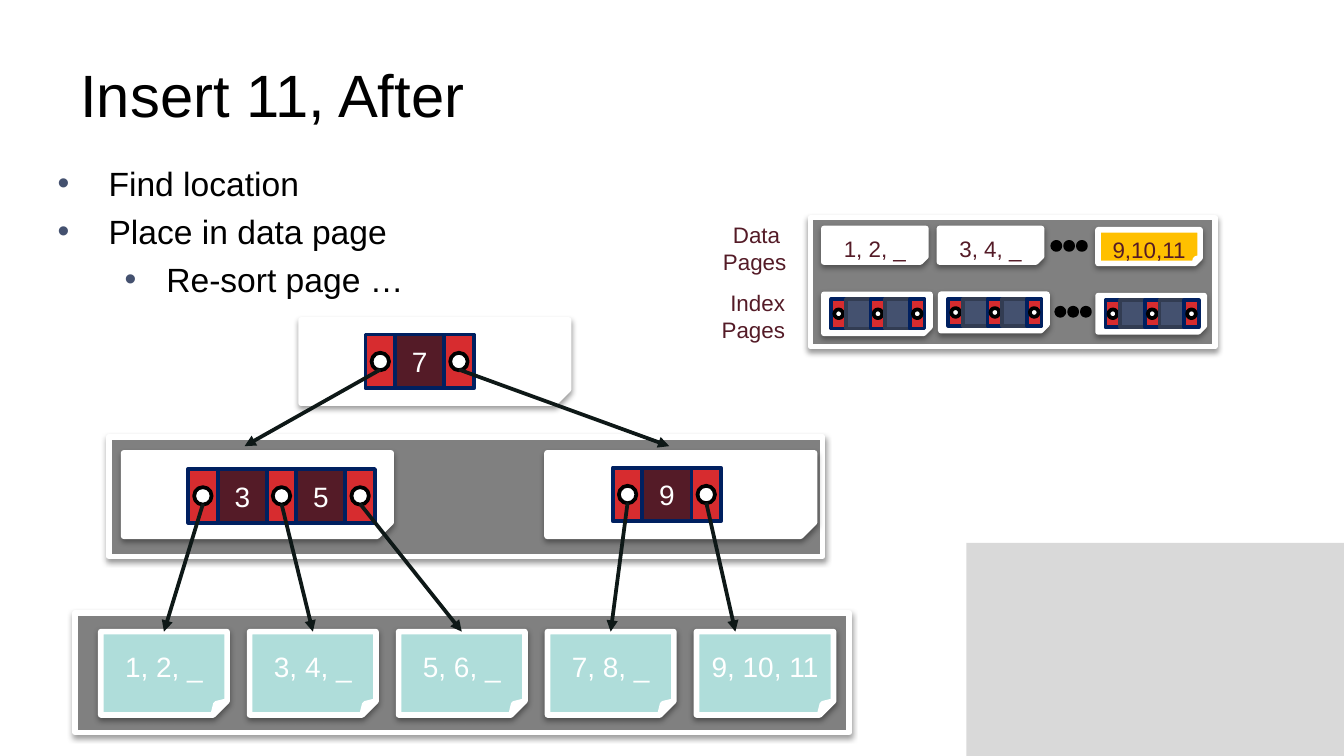
from pptx import Presentation
from pptx.dml.color import RGBColor as Rgb
from pptx.enum.shapes import MSO_CONNECTOR as Conn, MSO_SHAPE as Kind
from pptx.enum.text import MSO_ANCHOR as Anchor, PP_ALIGN as Align
from pptx.oxml import parse_xml
from pptx.oxml.ns import nsdecls
from pptx.util import Inches, Pt

# Grid: 100 columns by 56.25 rows, each a tenth of an inch
COLS, ROWS = 100, 56.25
HUES = {
    "white": "FFFFFF", "black": "000000", "pale": "D9D9D9", "gray": "808080",
    "red": "D72C2F", "navy": "002060", "wine": "541B27", "slate": "44516F",
    "dusk": "323C52", "teal": "AFDDDA", "gold": "FFC000", "ink": "0E1817",
}


def grid(*units):
    return [Inches(unit / 10) for unit in units]


def hue(name):
    return Rgb.from_string(HUES[name])


def add_xml(parent, tag, attrs="", inner=""):
    parent.append(parse_xml(f'<a:{tag} {nsdecls("a")} {attrs}>{inner}</a:{tag}>'))


def write(frame, lines, size=15, color="white", align=Align.CENTER,
          anchor=Anchor.MIDDLE, wrap=True, inset=None, levels=None, gap=0):
    """Fill a text frame; levels gives each bullet its depth."""
    frame.word_wrap = wrap
    frame.vertical_anchor = anchor
    if inset is not None:
        frame.margin_left = frame.margin_right = Inches(inset)
        frame.margin_top = frame.margin_bottom = Inches(0.04)
    for i, line in enumerate(lines):
        para = frame.paragraphs[0] if i == 0 else frame.add_paragraph()
        para.alignment = align
        if i and gap:
            para.space_before = Pt(gap)
        if levels:
            bullet(para, levels[i])
        run = para.add_run()
        run.text = line
        run.font.name = "Arial"
        run.font.size = Pt(size)
        run.font.color.rgb = hue(color)


def bullet(para, level):
    left, hang = [(0.38, 0.38), (0.81, 0.31)][level]
    para.level = level
    props = para._p.get_or_add_pPr()
    props.set("marL", str(Inches(left)))
    props.set("indent", str(-Inches(hang)))
    add_xml(props, "buClr", inner=f'<a:srgbClr val="{HUES["slate"]}"/>')
    add_xml(props, "buFont", 'typeface="Arial"')
    add_xml(props, "buChar", 'char="•"')


def label(slide, box, lines, **style):
    write(slide.shapes.add_textbox(*grid(*box)).text_frame, lines, **style)


def block(slide, kind, box, fill, edge=None, width=2, text=None, **style):
    shape = slide.shapes.add_shape(kind, *grid(*box))
    shape.shadow.inherit = False
    shape.fill.solid()
    shape.fill.fore_color.rgb = hue(fill)
    if edge:
        shape.line.color.rgb = hue(edge)
        shape.line.width = Pt(width)
    else:
        shape.line.fill.background()
    if text:
        write(shape.text_frame, [text], **style)
    return shape


def page(slide, box, fill="white", kind=Kind.FOLDED_CORNER, **style):
    """A white-edged sheet or tray with a soft shadow below."""
    shape = block(slide, kind, box, fill, "white", 3, **style)
    glow = shape._element.spPr.find(
        "{http://schemas.openxmlformats.org/drawingml/2006/main}effectLst")
    add_xml(glow, "outerShdw",
            f'blurRad="{Pt(3.1)}" dist="{Pt(1.6)}" dir="5400000" rotWithShape="0"',
            '<a:srgbClr val="000000"><a:alpha val="38000"/></a:srgbClr>')


def tray(slide, box):
    page(slide, box, "gray", Kind.RECTANGLE)


def node(slide, x, y, keys, scale=1, high=4, fill="wine", edge="navy"):
    """Draw pointer cells around key cells; return where arrows start."""
    slot, key, dot = 2.2 * scale, 3.65 * scale, 1.3 * scale
    ports = []
    for i in range(len(keys) + 1):
        left = x + i * (slot + key)
        mid = left + slot / 2
        block(slide, Kind.RECTANGLE, (left, y, slot, high), "red", "navy")
        block(slide, Kind.OVAL, (mid - dot / 2, y + (high - dot) / 2, dot, dot),
              "white", "black")
        ports.append((mid, y + high / 2 + 0.6))
        if i < len(keys):
            block(slide, Kind.RECTANGLE, (left + slot, y, key, high), fill, edge,
                  text=keys[i], inset=0.07)
    return ports


def dots(slide, x, y):
    for i in range(3):
        block(slide, Kind.OVAL, (x + i * 0.95, y, 0.6, 0.6), "black", "black")


def arrow(slide, start, end):
    line = slide.shapes.add_connector(Conn.STRAIGHT, *grid(*start, *end))
    line.line.color.rgb = hue("ink")
    line.line.width = Pt(2)
    add_xml(line.line._get_or_add_ln(), "tailEnd", 'type="triangle"')
    add_xml(line._element.spPr, "effectLst")


def store(slide):
    """The panel of data pages and index pages."""
    tray(slide, (60.3, 16.2, 30.1, 9.6))
    for x, y, text, fill in [(61.3, 17, "1, 2, _", "white"),
                             (69.9, 17, "3, 4, _", "white"),
                             (81.7, 17.1, "9,10,11", "gold")]:
        page(slide, (x, y, 7.6, 2.5), fill, text=text, size=12, color="wine",
             anchor=Anchor.TOP)
    for x, y, high in [(61.3, 21.9, 2.9), (70, 21.9, 2.7), (81.7, 22, 2.7)]:
        page(slide, (x, y, 7.9, high))
        node(slide, x + 0.55, y + 0.35, ["", ""], 0.5, high - 0.7, "slate", "dusk")
    dots(slide, 78.3, 18)
    dots(slide, 78.6, 22.9)
    for box, name in [((50.5, 16, 9, 5), "Data "), ((52.7, 21, 6.7, 5), "Index")]:
        label(slide, box, [name, "Pages"], size=12, color="wine",
              align=Align.RIGHT, anchor=Anchor.TOP)


def tree(slide):
    """The search tree: root, index level and leaves."""
    tray(slide, (8.1, 32.5, 53.1, 8.9))
    tray(slide, (5.6, 45.6, 57.6, 8.9))

    # Leaves
    leaves = ["1, 2, _", "3, 4, _", "5, 6, _", "7, 8, _", "9, 10, 11"]
    tips = []
    for i, text in enumerate(leaves):
        x = 7.5 + i * 11.08
        page(slide, (x, 47, 10.2 if i == 4 else 9.4, 6.2), "teal", text=text)
        tips.append((x + 4.7 - (i == 4) * 1.8, 47))

    # Index level
    for x in (40.7, 9.2):
        page(slide, (x, 33.7, 19.9, 6.2))
    ports = node(slide, 14, 34.9, ["3", "5"]) + node(slide, 45.6, 34.8, ["9"])
    for port, tip in zip(ports, tips):
        arrow(slide, port, tip)

    # Root
    page(slide, (22.4, 23.8, 19.9, 6.2))
    for port, x in zip(node(slide, 27.2, 24.9, ["7"]), (18.2, 49.8)):
        arrow(slide, port, (x, 33.2))


def main():
    deck = Presentation()
    deck.slide_width, deck.slide_height = grid(COLS, ROWS)
    slide = deck.slides.add_slide(deck.slide_layouts[6])

    # Corner panel, title and steps
    block(slide, Kind.RECTANGLE, (71.9, 40.4, 28.1, 15.85), "pale")
    label(slide, (5, 2.3, 90, 9.4), ["Insert 11, After"], size=32, color="black",
          align=Align.LEFT)
    label(slide, (3.3, 11.6, 90, 12),
          ["Find location", "Place in data page", "Re-sort page …"],
          size=18, color="black", align=Align.LEFT, anchor=Anchor.TOP,
          levels=[0, 0, 1], gap=4.3)

    store(slide)
    tree(slide)
    deck.save("out.pptx")


if __name__ == "__main__":
    main()
